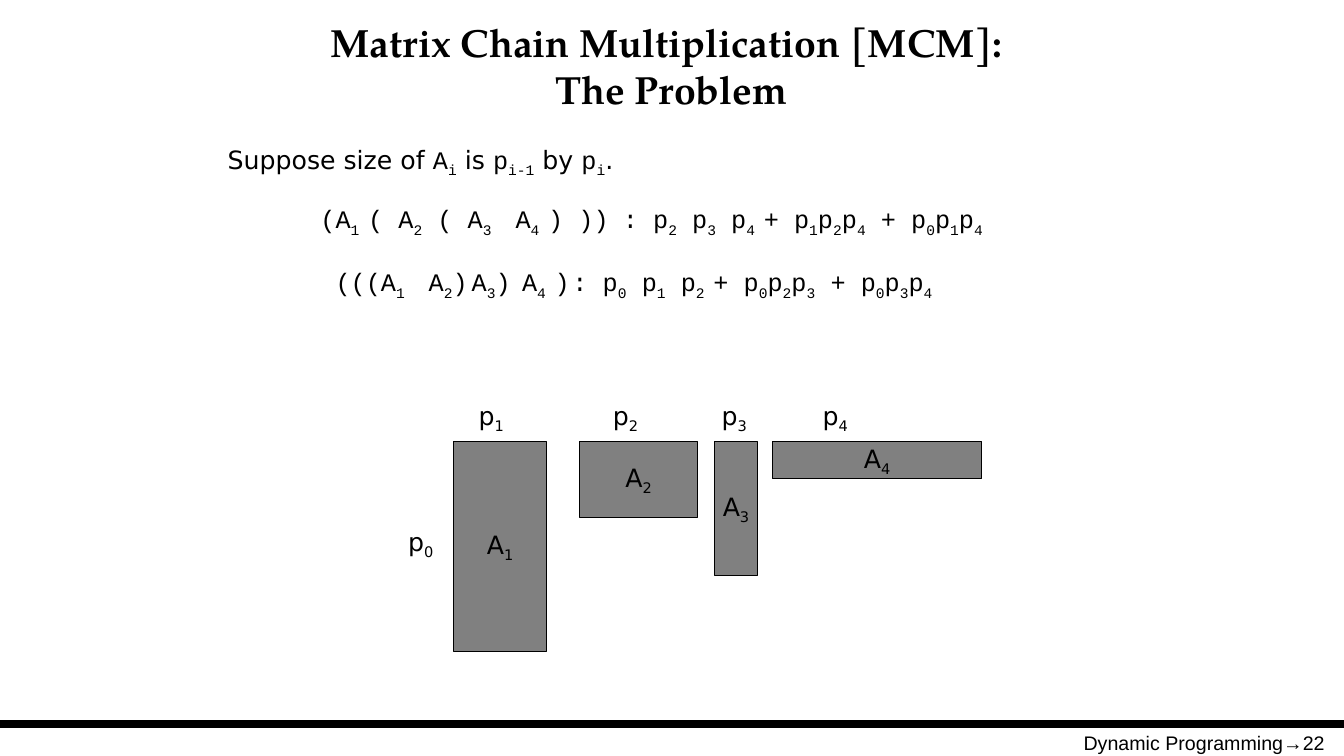
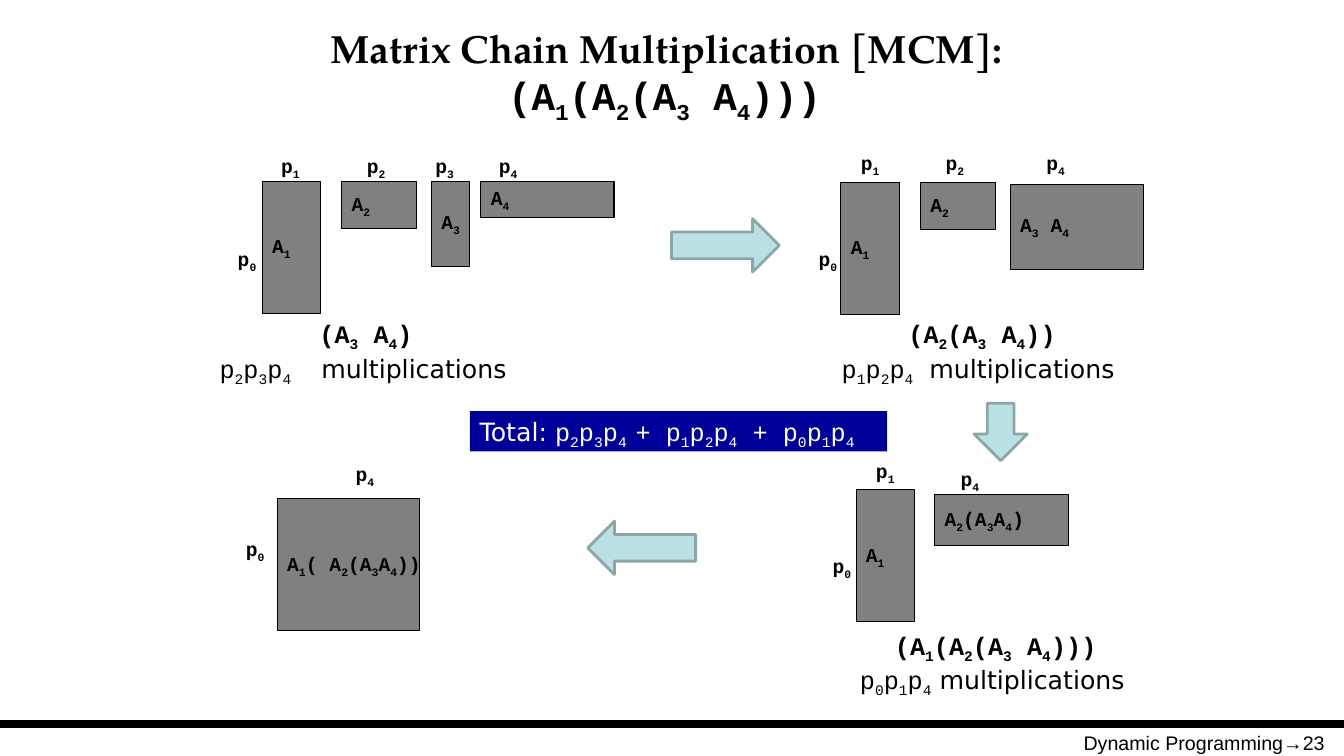
"""Two slides on the matrix chain multiplication problem."""
from lxml import etree
from pptx import Presentation
from pptx.dml.color import RGBColor
from pptx.enum.shapes import MSO_CONNECTOR, MSO_SHAPE
from pptx.enum.text import MSO_ANCHOR, PP_ALIGN
from pptx.oxml.ns import qn
from pptx.util import Inches, Pt

RECT, STRAIGHT = MSO_SHAPE.RECTANGLE, MSO_CONNECTOR.STRAIGHT
RIGHT_ARROW, DOWN_ARROW, LEFT_ARROW = (
    MSO_SHAPE.RIGHT_ARROW, MSO_SHAPE.DOWN_ARROW, MSO_SHAPE.LEFT_ARROW)
TOP, MIDDLE = MSO_ANCHOR.TOP, MSO_ANCHOR.MIDDLE
LEFT, CENTER, RIGHT = PP_ALIGN.LEFT, PP_ALIGN.CENTER, PP_ALIGN.RIGHT

BLACK = RGBColor(0x00, 0x00, 0x00)
WHITE = RGBColor(0xFF, 0xFF, 0xFF)
GRAY = RGBColor(0x80, 0x80, 0x80)
NAVY = RGBColor(0x00, 0x00, 0x99)
TEAL = RGBColor(0xBB, 0xE0, 0xE3)
TEAL_EDGE = RGBColor(0x8A, 0xA6, 0xA8)

SANS, MONO, SERIF, FOOT = "DejaVu Sans", "Courier New", "TeX Gyre Pagella", "Arial"
WIDTH, HEIGHT = 13.33, 7.5
BAND_Y = 7.18
TITLE = "Matrix Chain Multiplication [MCM]: "

# Markup: {x} is a subscript, | switches to Courier New and back.
SIZES = "Suppose size of |A{i}| is |p{i-1}| by |p{i}|."
ORDERS = [
    ("(A{1 }( A{2} ( A{3 } A{4 }) ))\t: p{2} p{3} p{4 }+ p{1}p{2}p{4} + p{0}p{1}p{4}",
     0, [3.16]),
    ("(((A{1 } A{2})\tA{3})\tA{4 })\t: p{0} p{1} p{2 }+ p{0}p{2}p{3} + p{0}p{3}p{4}",
     0.15, [1.76, 2.39, 3.16]),
]
CHAIN = {
    "matrices": [("A{1}", 4.5, 4.38, 0.92, 2.08), ("A{2}", 5.75, 4.38, 1.17, 0.75),
                 ("A{3}", 7.09, 4.38, 0.42, 1.33), ("A{4}", 7.66, 4.38, 2.08, 0.37)],
    "dims": [("p{0}", 3.95, 5.17), ("p{1}", 4.65, 3.92), ("p{2}", 5.98, 3.92),
             ("p{3}", 7.06, 3.92), ("p{4}", 8.06, 3.92)],
}
STEPS = [
    {"matrices": [("A{1}", 2.6, 1.8, 0.58, 1.31), ("A{2}", 3.39, 1.8, 0.74, 0.47),
                  ("A{3}", 4.28, 1.8, 0.38, 0.84), ("A{4}", 4.77, 1.8, 1.32, 0.36)],
     "dims": [("p{0}", 2.26, 2.4), ("p{1}", 2.69, 1.48), ("p{2}", 3.54, 1.48),
              ("p{3}", 4.22, 1.48), ("p{4}", 4.85, 1.48)]},
    {"matrices": [("A{1}", 8.34, 1.81, 0.58, 1.31), ("A{2}", 9.13, 1.81, 0.74, 0.47),
                  ("A{3} A{4}", 10.02, 1.83, 1.32, 0.84)],
     "dims": [("p{0}", 8.02, 2.4), ("p{1}", 8.44, 1.45), ("p{2}", 9.28, 1.45),
              ("p{4}", 10.28, 1.45)]},
    {"matrices": [("A{1}", 8.49, 4.86, 0.58, 1.31),
                  ("A{2}(A{3}A{4})", 9.27, 4.91, 1.33, 0.5)],
     "dims": [("p{0}", 8.16, 5.45), ("p{1}", 8.59, 4.5), ("p{4}", 9.43, 4.58)]},
    {"matrices": [("A{1}( A{2}(A{3}A{4}))", 2.75, 4.95, 1.41, 1.31)],
     "dims": [("p{0}", 2.34, 5.28), ("p{4}", 3.43, 4.53)]},
]
COSTS = [
    ("(A{3} A{4})", "|p{2}p{3}p{4}|\tmultiplications", [1.01], (2.08, 3.11, 3.1, 0.71)),
    ("(A{2}(A{3} A{4}))", "|p{1}p{2}p{4}|\tmultiplications", [0.87], (8.25, 3.11, 2.98, 0.71)),
    ("(A{1}(A{2}(A{3} A{4})))", "|p{0}p{1}p{4}| multiplications", [], (8.43, 6.2, 2.89, 0.71)),
]
TOTAL = "Total: |p{2}p{3}p{4 }+ p{1}p{2}p{4} + p{0}p{1}p{4}"
ARROWS = [(RIGHT_ARROW, 6.66, 2.17, 1.07, 0.53), (DOWN_ARROW, 9.66, 4, 0.53, 0.57),
          (LEFT_ARROW, 5.83, 5.17, 1.07, 0.53)]


def inches(box):
    return [Inches(v) for v in box]


def write(p, text, size, font=SANS, color=BLACK, bold=False, align=LEFT):
    p.alignment = align
    for i, line in enumerate(text.split("\n")):
        if i:
            p.add_line_break()
        for j, span in enumerate(line.split("|")):
            for k, piece in enumerate(span.replace("}", "{").split("{")):
                if not piece:
                    continue
                r = p.add_run()
                r.text = piece
                f = r.font
                f.size, f.bold, f.color.rgb = Pt(size), bold, color
                f.name = MONO if j % 2 else font
                if k % 2:
                    r._r.get_or_add_rPr().set("baseline", "-25000")


def set_tabs(p, stops):
    if stops:
        tabs = etree.SubElement(p._p.get_or_add_pPr(), qn("a:tabLst"))
        for stop in stops:
            etree.SubElement(tabs, qn("a:tab"), pos=str(Inches(stop)), algn="l")


def add_text(shapes, box, text="", size=18, wrap=False, anchor=TOP, **style):
    tf = shapes.add_textbox(*inches(box)).text_frame
    tf.word_wrap, tf.vertical_anchor = wrap, anchor
    write(tf.paragraphs[0], text, size, **style)
    return tf


def add_block(shapes, box, kind=RECT, fill=GRAY, line=BLACK, weight=0.75):
    sp = shapes.add_shape(kind, *inches(box))
    sp.shadow.inherit = False
    sp.fill.solid()
    sp.fill.fore_color.rgb = fill
    if line is None:
        sp.line.fill.background()
    else:
        sp.line.color.rgb = line
        sp.line.width = Pt(weight)
    tf = sp.text_frame
    tf.word_wrap, tf.vertical_anchor = False, MIDDLE
    return tf


def add_diagram(s, matrices, dims, label_size, align=LEFT, **style):
    shapes = s.shapes.add_group_shape().shapes
    for text, *box in matrices:
        write(add_block(shapes, box).paragraphs[0], text, align=align, **style)
    for text, x, y in dims:
        add_text(shapes, (x, y, *label_size), text, **style)


def add_slide(prs, number, title, title_y):
    s = prs.slides.add_slide(prs.slide_layouts[6])
    band = s.shapes.add_connector(STRAIGHT, *inches((0, BAND_Y, WIDTH, BAND_Y)))
    band.line.color.rgb, band.line.width = BLACK, Pt(6)
    etree.SubElement(band._element.spPr, qn("a:effectLst"))
    add_text(s.shapes, (9.58, 7.2, 3.66, 0.52), f"Dynamic Programming→{number}", 14,
             wrap=True, font=FOOT, align=RIGHT)
    add_text(s.shapes, (2.16, title_y, 9, 0.7), TITLE + "\n" + title, 28,
             wrap=True, anchor=MIDDLE, font=SERIF, bold=True, align=CENTER)
    return s


def problem_slide(prs):
    s = add_slide(prs, 22, "The Problem", 0.3)
    add_text(s.shapes, (2.16, 1.38, 4.19, 0.4), SIZES)
    tf = add_text(s.shapes, (3.08, 1.87, 7.5, 1.04), wrap=True)
    for i, (text, indent, stops) in enumerate(ORDERS):
        p = tf.add_paragraph() if i else tf.paragraphs[0]
        p.line_spacing = 1.3
        if i:
            p.space_before = Pt(13)
        set_tabs(p, stops)
        p._p.get_or_add_pPr().set("indent", str(Inches(indent)))
        write(p, text, 18, font=MONO)
    add_diagram(s, **CHAIN, label_size=(0.46, 0.4), align=CENTER, size=18)


def steps_slide(prs):
    s = add_slide(prs, 23, " |(A{1}(A{2}(A{3} A{4}))) ", 0.39)
    for step in STEPS:
        add_diagram(s, **step, label_size=(0.4, 0.34), size=14, font=MONO, bold=True)
    for product, cost, stops, box in COSTS:
        tf = add_text(s.shapes, box, product, wrap=True, font=MONO, bold=True, align=CENTER)
        p = tf.add_paragraph()
        set_tabs(p, stops)
        write(p, cost, 18)
    total = add_block(s.shapes, (4.66, 4.08, 4.14, 0.4), fill=NAVY, line=None)
    total.vertical_anchor = TOP
    write(total.paragraphs[0], TOTAL, 18, color=WHITE)
    for kind, *box in ARROWS:
        add_block(s.shapes, box, kind, TEAL, TEAL_EDGE, 2)


def main():
    prs = Presentation()
    prs.slide_width, prs.slide_height = inches((WIDTH, HEIGHT))
    problem_slide(prs)
    steps_slide(prs)
    prs.save("out.pptx")


if __name__ == "__main__":
    main()
